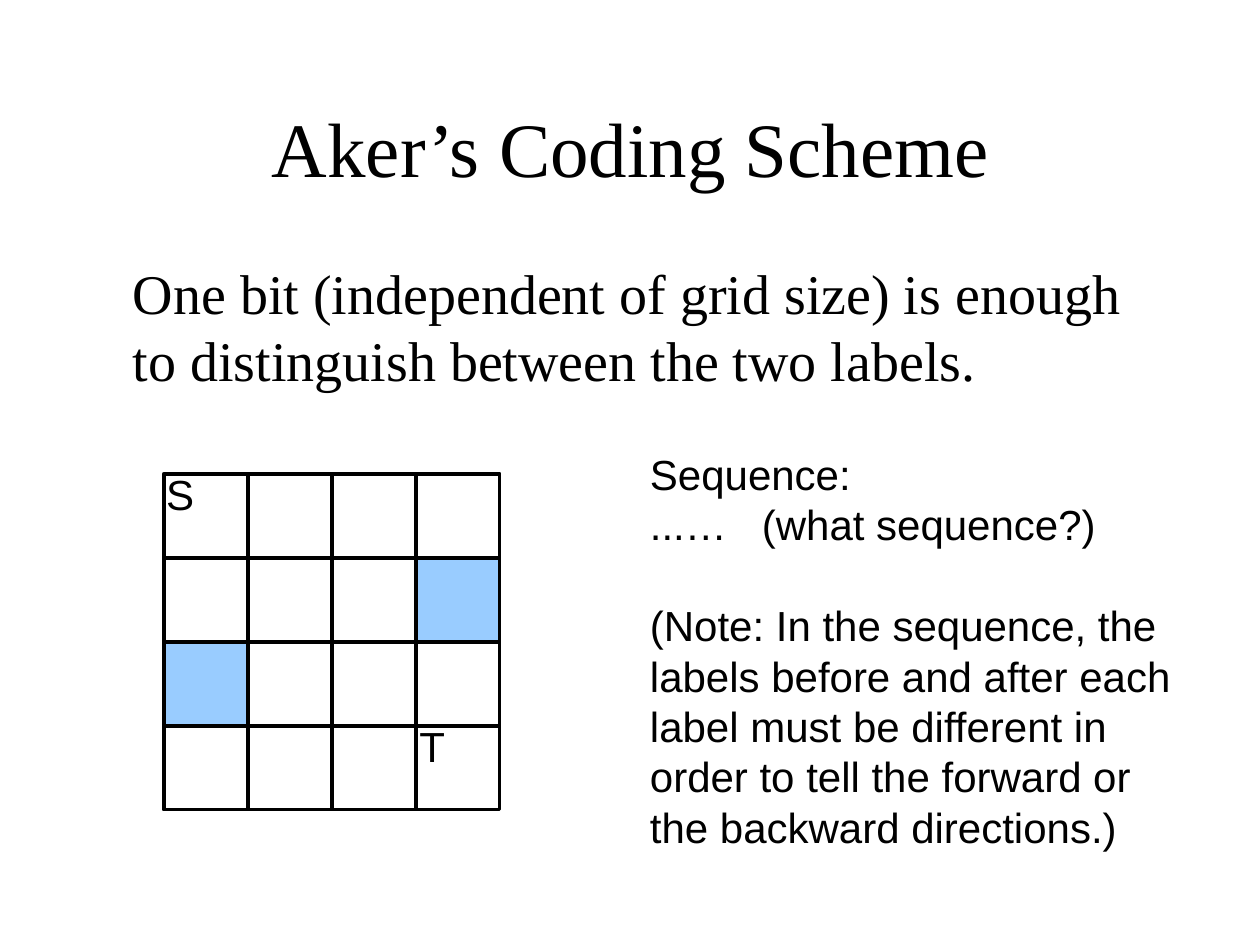
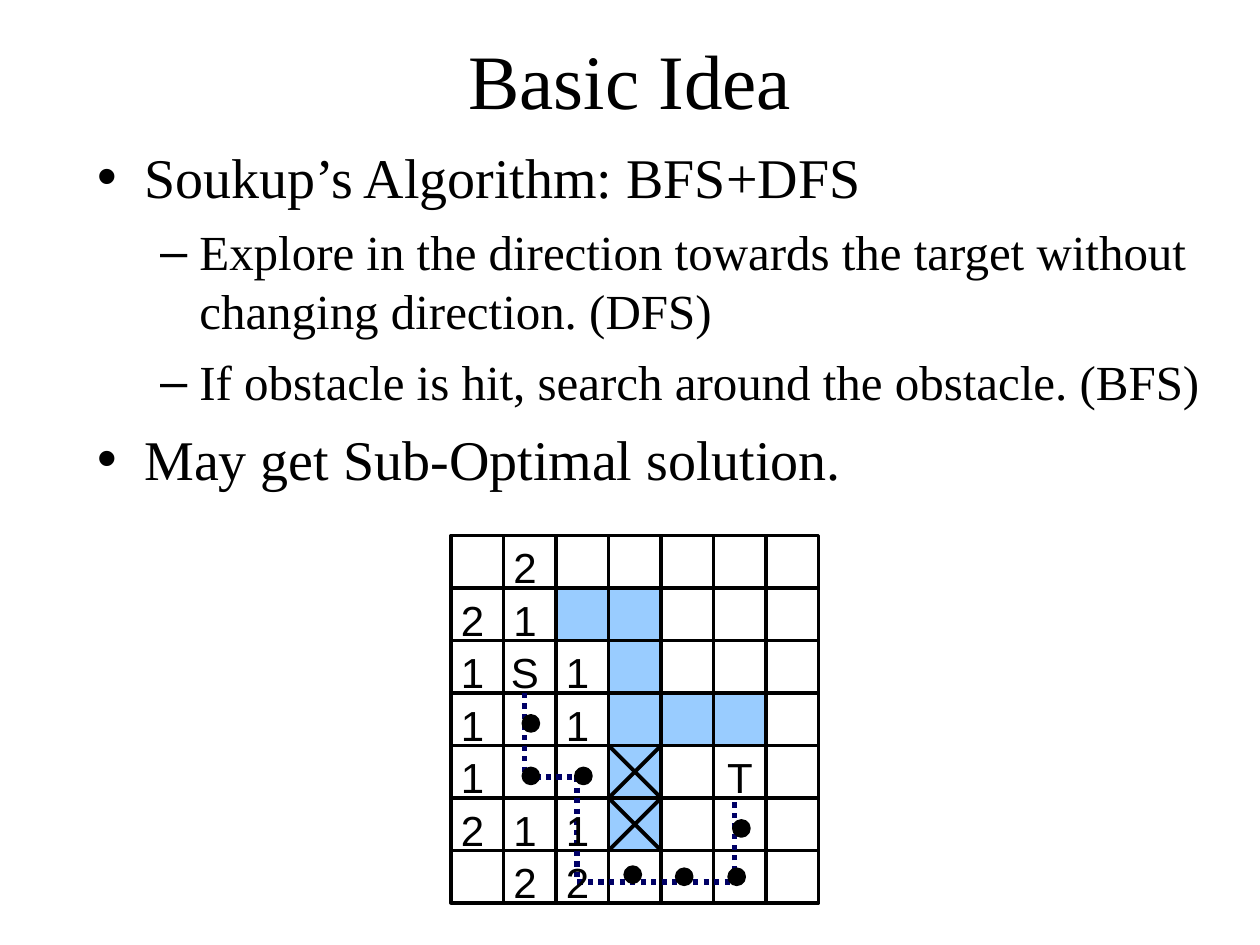
from lxml import etree
from pptx import Presentation
from pptx import util as u
from pptx.dml.color import RGBColor
from pptx.enum import dml, shapes, text
from pptx.oxml.ns import qn

BLACK = RGBColor(0x00, 0x00, 0x00)
BLOCKED = RGBColor(0x99, 0xCC, 0xFF)
ROUTE = RGBColor(0x00, 0x00, 0x66)
SERIF, SANS = "Times New Roman", "Arial"
CENTER, LEFT = text.PP_ALIGN.CENTER, text.PP_ALIGN.LEFT
LABEL_W, LABEL_H, DOT = 0.4, 0.5, 0.12


def write(shape, lines, box, font=SERIF, align=LEFT, wrap=True):
    """Place a text shape and fill it with (text, size, level, space before) lines."""
    shape.left, shape.top, shape.width, shape.height = map(u.Inches, box)
    tf = shape.text_frame
    tf.word_wrap = wrap
    tf.auto_size = text.MSO_AUTO_SIZE.NONE
    for i, (line, size, level, before) in enumerate(lines):
        p = tf.add_paragraph() if i else tf.paragraphs[0]
        p.alignment, p.level = align, level
        p.space_before = u.Pt(before)
        r = p.add_run()
        r.text = line
        r.font.name, r.font.size = font, u.Pt(size)
        r.font.color.rgb = BLACK


def draw_maze(s, left, top, side, rows, center, nudge, route=(), dots=()):
    """Draw a routing grid: '.' is open, '#' blocked, 'X' blocked and crossed,
    anything else a label. Route and dots are (column, row) points; center is
    the label's middle and top within its cell, nudge moves single labels."""
    def at(col, row):
        return u.Inches(left + col * side), u.Inches(top + row * side)

    cells = [(c, r, mark) for r, row in enumerate(rows) for c, mark in enumerate(row)]
    for c, r, mark in sorted(cells, key=lambda cell: cell[2] in "#X"):
        sp = s.shapes.add_shape(shapes.MSO_SHAPE.RECTANGLE, *at(c, r),
                                u.Inches(side), u.Inches(side))
        sp.shadow.inherit = False
        sp.line.color.rgb, sp.line.width = BLACK, u.Pt(2)
        if mark in "#X":
            sp.fill.solid()
            sp.fill.fore_color.rgb = BLOCKED
        else:
            sp.fill.background()

    for c, r, mark in cells:
        if mark == "X":
            for start, end in ((c, c + 1), (c + 1, c)):
                line = s.shapes.add_connector(shapes.MSO_CONNECTOR.STRAIGHT,
                                              *at(start, r), *at(end, r + 1))
                line.line.color.rgb, line.line.width = BLACK, u.Pt(2.25)
                etree.SubElement(line._element.spPr, qn("a:effectLst"))

    if route:
        builder = s.shapes.build_freeform(*at(*route[0]))
        builder.add_line_segments([at(*point) for point in route[1:]], close=False)
        sp = builder.convert_to_shape()
        sp.shadow.inherit = False
        sp.fill.background()
        sp.line.color.rgb, sp.line.width = ROUTE, u.Pt(3)
        sp.line.dash_style = dml.MSO_LINE.ROUND_DOT

    for x, y in (at(*dot) for dot in dots):
        d = u.Inches(DOT)
        sp = s.shapes.add_shape(shapes.MSO_SHAPE.OVAL, x - d // 2, y - d // 2, d, d)
        sp.shadow.inherit = False
        sp.fill.solid()
        sp.fill.fore_color.rgb = sp.line.color.rgb = BLACK
        sp.line.width = u.Pt(2)

    for c, r, mark in cells:
        if mark not in ".#X":
            x = left + c * side + center[0] + nudge.get(mark, 0) - LABEL_W / 2
            write(s.shapes.add_textbox(0, 0, 0, 0), [(mark, 24, 0, 0)],
                  (x, top + r * side + center[1], LABEL_W, LABEL_H),
                  font=SANS, align=CENTER, wrap=False)


prs = Presentation()
prs.slide_width, prs.slide_height = u.Inches(10), u.Inches(7.5)
layout = prs.slide_layouts[1]

# Aker's coding scheme
s = prs.slides.add_slide(layout)
write(s.shapes.title, [("Aker’s Coding Scheme", 44, 0, 0)],
      (0.17, 0.83, 9.67, 0.67), align=CENTER)
body = s.placeholders[1]
write(body, [("One bit (independent of grid size) is enough to distinguish "
              "between the two labels.", 32, 0, 8)], (0.58, 2, 8.83, 4.92))
pPr = body.text_frame.paragraphs[0]._p.get_or_add_pPr()
pPr.set("indent", "0")
etree.SubElement(pPr, qn("a:buNone"))
draw_maze(s, 1.3, 3.76, 2 / 3, ["S...", "...#", "#...", "...T"],
          center=(0.13, -0.09), nudge={})
note = ["Sequence:", "...…   (what sequence?)", "(Note: In the sequence, the",
        "labels before and after each", "label must be different in",
        "order to tell the forward or", "the backward directions.)"]
write(s.shapes.add_textbox(0, 0, 0, 0),
      [(line, 24, 0, 28.8 if line.startswith("(Note") else 0) for line in note],
      (5.06, 3.51, 4.42, 3.3), font=SANS, wrap=False)

# Basic idea of Soukup's algorithm
s = prs.slides.add_slide(layout)
write(s.shapes.title, [("Basic Idea", 44, 0, 0)], (0.75, 0, 8.5, 1.25), align=CENTER)
write(s.placeholders[1], [
    ("Soukup’s Algorithm: BFS+DFS", 32, 0, 8),
    ("Explore in the direction towards the target without changing direction. (DFS)",
     28, 1, 7),
    ("If obstacle is hit, search around the obstacle. (BFS)", 28, 1, 7),
    ("May get Sub-Optimal solution.", 32, 0, 8),
], (0.67, 1.08, 9.08, 6))
draw_maze(s, 3.58, 4.25, 5 / 12,
          [".2.....",
           "21##...",
           "1S1#...",
           "1.1###.",
           "1..X.T.",
           "211X...",
           ".22...."],
          center=(0.17, 0), nudge={"T": 0.04},
          route=[(1.4, 3), (1.4, 4.6), (2.4, 4.6), (2.4, 6.6), (5.4, 6.6), (5.4, 5)],
          dots=[(1.52, 3.58), (1.52, 4.58), (2.52, 4.58), (3.46, 6.46),
                (4.44, 6.5), (5.44, 6.5), (5.53, 5.58)])

prs.save("out.pptx")
